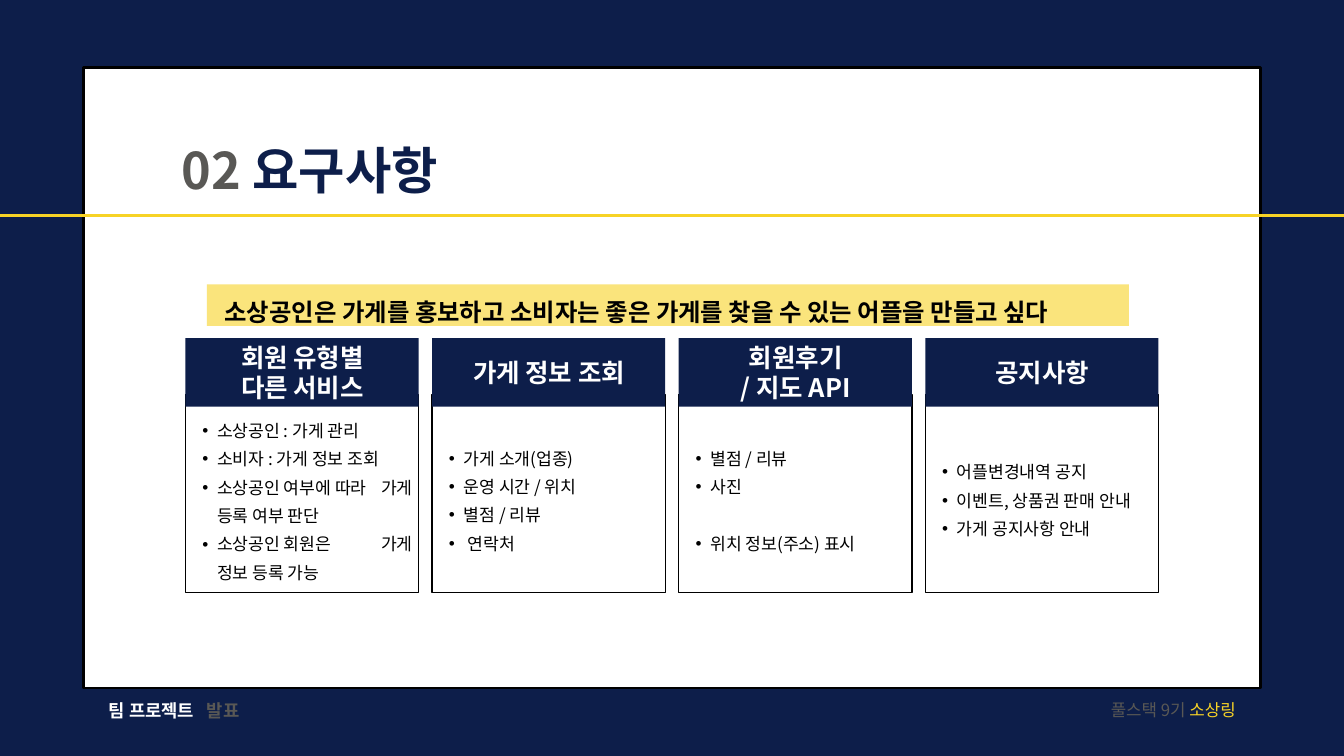
from dataclasses import dataclass

from lxml import etree
from pptx import Presentation
from pptx.dml.color import RGBColor
from pptx.enum.shapes import MSO_CONNECTOR, MSO_SHAPE
from pptx.enum.text import PP_ALIGN
from pptx.oxml.ns import qn
from pptx.util import Inches, Pt

RECTANGLE = MSO_SHAPE.RECTANGLE
STRAIGHT = MSO_CONNECTOR.STRAIGHT
LEFT, CENTER, RIGHT = PP_ALIGN.LEFT, PP_ALIGN.CENTER, PP_ALIGN.RIGHT


@dataclass(frozen=True)
class Theme:
    font: str = "Noto Sans CJK KR"
    navy: str = "0D1E4A"
    yellow: str = "F7D326"
    gray: str = "595855"
    white: str = "FFFFFF"
    black: str = "000000"
    title: float = 54
    message: float = 26.1
    heading: float = 27.3
    body: float = 18.4
    footer: float = 19
    team: float = 18


THEME = Theme()

# Heading lines, bullets, number of drawn body lines, bullets with a gap above
COLUMNS = [
    (["회원 유형별\v다른 서비스"],
     ["소상공인 : 가게 관리", "소비자 : 가게 정보 조회",
      "소상공인 여부에 따라\t가게 등록 여부 판단",
      "소상공인 회원은\t가게 정보 등록 가능"], 6, ()),
    (["가게 정보 조회"],
     ["가게 소개(업종)", "운영 시간 / 위치", "별점 / 리뷰", " 연락처"], 4, ()),
    (["회원후기", "/ 지도 API"],
     ["별점 / 리뷰", "사진", "위치 정보(주소) 표시"], 4, (2,)),
    (["공지사항"],
     ["어플변경내역 공지", "이벤트, 상품권 판매 안내", "가게 공지사항 안내"], 3, ()),
]


def add_box(slide, box, fill=None, line=None, line_width=0, opacity=None):
    shape = slide.shapes.add_shape(RECTANGLE, *map(Inches, box))
    shape.shadow.inherit = False
    if fill:
        shape.fill.solid()
        shape.fill.fore_color.rgb = RGBColor.from_string(fill)
    else:
        shape.fill.background()
    if line:
        shape.line.color.rgb = RGBColor.from_string(line)
        shape.line.width = Pt(line_width)
    else:
        shape.line.fill.background()
    if opacity is not None:
        color = shape.fill._xPr.find(qn("a:solidFill"))[0]
        etree.SubElement(color, qn("a:alpha"), val=str(opacity * 1000))
    return shape


def add_text(slide, box, paragraphs, size, spacing, bold=False, align=LEFT):
    """Each paragraph is a list of (text, colour) runs."""
    frame = slide.shapes.add_textbox(*map(Inches, box)).text_frame
    frame.word_wrap = True
    frame.margin_left = frame.margin_right = 0
    frame.margin_top = frame.margin_bottom = 0
    for index, runs in enumerate(paragraphs):
        paragraph = frame.add_paragraph() if index else frame.paragraphs[0]
        paragraph.alignment = align
        paragraph.line_spacing = Pt(spacing)
        for text, color in runs:
            for part, piece in enumerate(text.split("\v")):
                if part:
                    paragraph.add_line_break()
                run = paragraph.add_run()
                run.text = piece
                run.font.name = THEME.font
                run.font.size = Pt(size)
                run.font.bold = bold
                run.font.color.rgb = RGBColor.from_string(color)
                etree.SubElement(run._r.get_or_add_rPr(), qn("a:ea"),
                                 typeface=THEME.font)
    return frame


def add_bullet(paragraph):
    paragraph.level = 1
    properties = paragraph._p.get_or_add_pPr()
    properties.set("marL", str(Inches(0.44)))
    properties.set("indent", str(Inches(-0.22)))
    etree.SubElement(properties, qn("a:buFont"), typeface="Arial")
    etree.SubElement(properties, qn("a:buChar"), char="•")
    tabs = etree.SubElement(properties, qn("a:tabLst"))
    etree.SubElement(tabs, qn("a:tab"), pos=str(Inches(2.88)), algn="l")


def add_panel(slide, box):
    left, top, _, _ = box
    add_box(slide, box, THEME.white, THEME.black, 3)
    # Rule across the whole slide
    rule = slide.shapes.add_connector(
        STRAIGHT, 0, Inches(3.21), Inches(20), Inches(3.21))
    rule.line.color.rgb = RGBColor.from_string(THEME.yellow)
    rule.line.width = Pt(3)
    etree.SubElement(rule._element.spPr, qn("a:effectLst"))
    add_text(slide, (left + 1.46, top + 0.91, 7.53, 1),
             [[("02", THEME.gray), (" 요구사항", THEME.navy)]],
             THEME.title, 75.5, bold=True)


def add_message(slide, box):
    left, top, _, _ = box
    add_box(slide, box, THEME.yellow, opacity=60)
    message = "소상공인은 가게를 홍보하고 소비자는 좋은 가게를 찾을 수 있는 어플을 만들고 싶다"
    add_text(slide, (left + 0.26, top - 0.2, 13.34, 0.72),
             [[(message, THEME.black)]], THEME.message, 59.6, bold=True)


def add_column(slide, box, heading, bullets, body_lines, gaps):
    left, top, width, height = box
    header_height, frame_offset = 1.02, 0.84
    add_box(slide, (left, top + frame_offset, width, height - frame_offset),
            line=THEME.black, line_width=1.5)
    add_box(slide, (left, top, width, header_height), THEME.navy)

    # Heading, centred on the header
    heading_lines = len("\v".join(heading).split("\v"))
    text_height = 0.435 * heading_lines
    add_text(slide, (left + 0.49, top + 0.51 - text_height / 2, 2.5, text_height),
             [[(line, THEME.white)] for line in heading],
             THEME.heading, 31.7, bold=True, align=CENTER)

    # Bullets, centred on the body
    text_height = 0.41 * body_lines + 0.36
    frame = add_text(slide, (left + 0.03, top + 2.52 - text_height / 2, 3.38, text_height),
                     [[(bullet, THEME.black)] for bullet in bullets],
                     THEME.body, 30.4)
    for index, paragraph in enumerate(frame.paragraphs):
        if index in gaps:
            paragraph.space_before = Pt(30.4)
        add_bullet(paragraph)


def add_columns(slide, box):
    left, top, width, height = box
    column_width = 3.47
    pitch = (width - column_width) / (len(COLUMNS) - 1)
    for index, column in enumerate(COLUMNS):
        add_column(slide, (left + index * pitch, top, column_width, height), *column)


def add_footer(slide, box):
    left, top, width, height = box
    for offset, label_width, text, color in (
            (0, 1.64, "팀 프로젝트", THEME.white), (1.46, 1.13, "발표", THEME.gray)):
        add_text(slide, (left + offset, top, label_width, height),
                 [[(text, color)]], THEME.footer, 26.6, bold=True)
    add_text(slide, (left + width - 3.54, top, 3.54, height),
             [[("풀스택 9기 ", THEME.gray), ("소상링", THEME.yellow)]],
             THEME.team, 25.2, align=RIGHT)


def main():
    presentation = Presentation()
    presentation.slide_width = Inches(20)
    presentation.slide_height = Inches(11.25)
    slide = presentation.slides.add_slide(presentation.slide_layouts[6])
    slide.background.fill.solid()
    slide.background.fill.fore_color.rgb = RGBColor.from_string(THEME.navy)

    add_panel(slide, (1.24, 1.01, 17.52, 9.23))
    add_message(slide, (3.08, 4.23, 13.72, 0.62))
    add_columns(slide, (2.76, 5.03, 14.48, 3.79))
    add_footer(slide, (1.62, 10.36, 16.77, 0.35))
    presentation.save("out.pptx")


if __name__ == "__main__":
    main()
